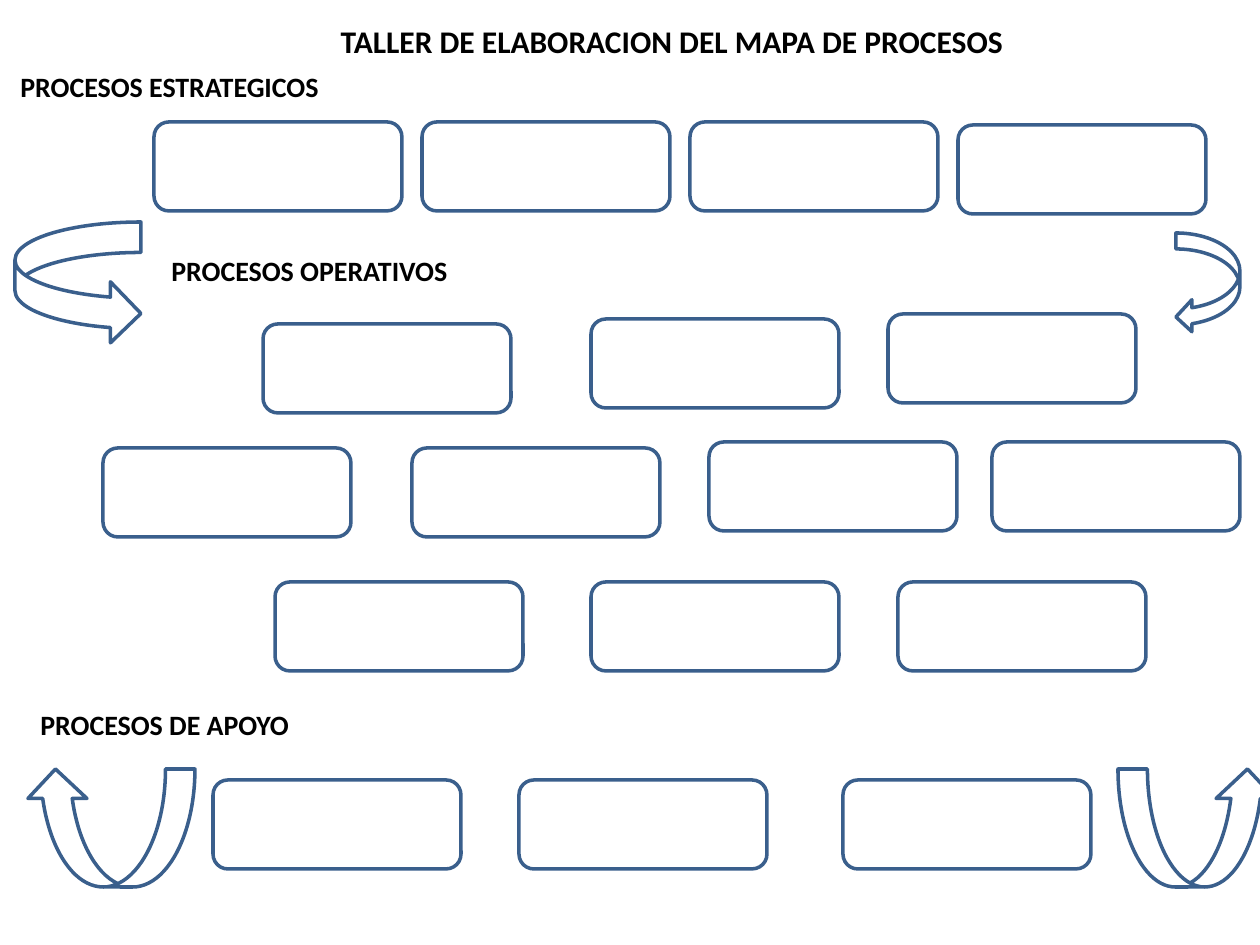
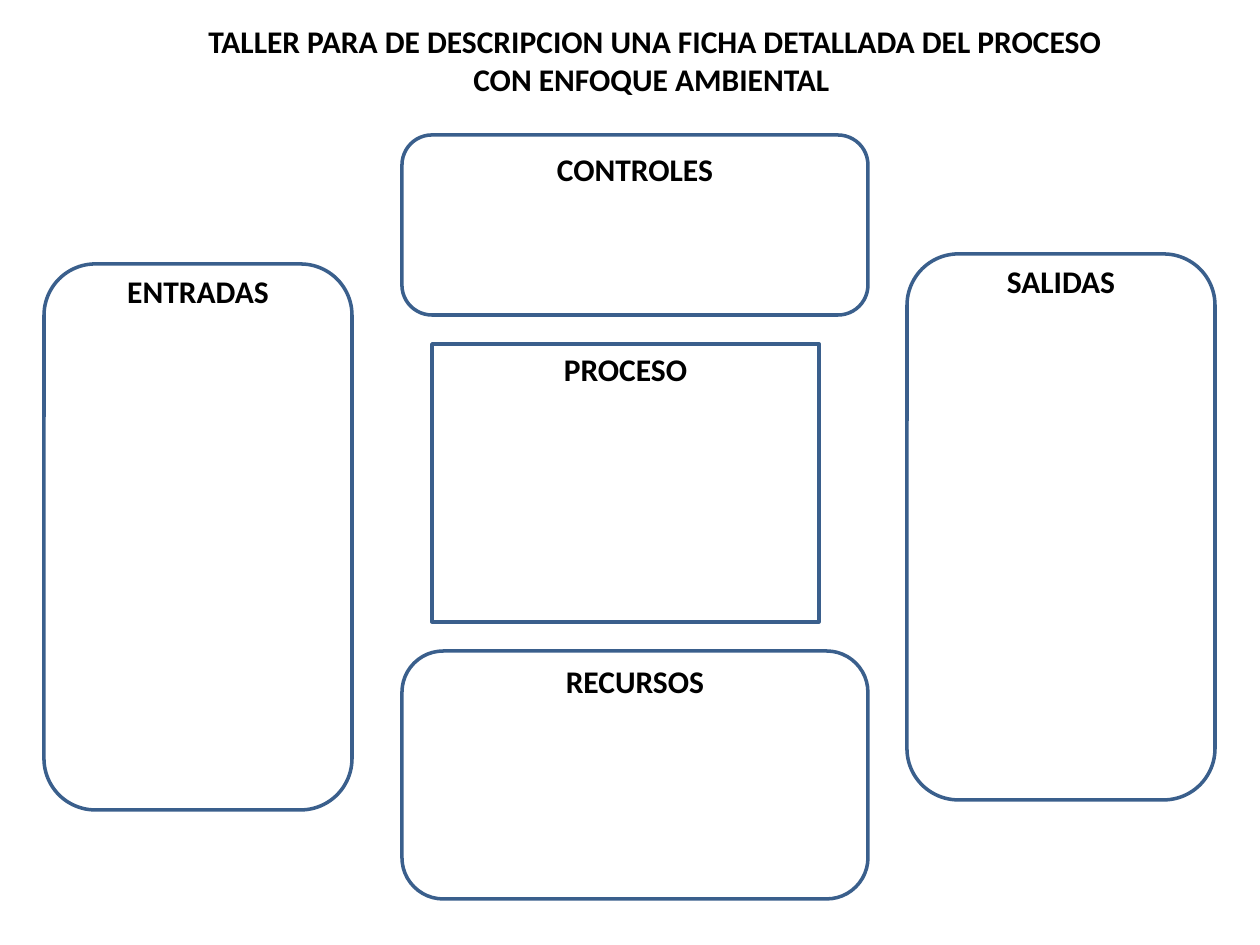
from pptx import Presentation
from pptx.dml.color import RGBColor
from pptx.enum.shapes import MSO_SHAPE
from pptx.enum.text import MSO_ANCHOR, MSO_AUTO_SIZE, PP_ALIGN
from pptx.util import Pt

ROUND, RECT = MSO_SHAPE.ROUNDED_RECTANGLE, MSO_SHAPE.RECTANGLE
RIGHT, LEFT = MSO_SHAPE.CURVED_RIGHT_ARROW, MSO_SHAPE.CURVED_LEFT_ARROW
UP = MSO_SHAPE.CURVED_UP_ARROW
TOP, FIXED = MSO_ANCHOR.TOP, MSO_AUTO_SIZE.NONE
MIDDLE, START = PP_ALIGN.CENTER, PP_ALIGN.LEFT

PX = 914400 // 126  # one pixel in EMU
BLUE, BLACK, FONT = "3A5F8C", "000000", "Calibri"


def write(shape, text, size=18, align=MIDDLE):
    """Bold black text at the top of a shape, one paragraph per line."""
    frame = shape.text_frame
    frame.text = text
    frame.word_wrap = True
    frame.auto_size = FIXED
    frame.vertical_anchor = TOP
    for par in frame.paragraphs:
        par.alignment = align
        par.font.name, par.font.size, par.font.bold = FONT, Pt(size), True
        par.font.color.rgb = RGBColor.from_string(BLACK)


def draw(slide, kind, *rect):
    """Unfilled shape with the shared blue outline."""
    shape = slide.shapes.add_shape(kind, *[n * PX for n in rect])
    shape.shadow.inherit = False
    shape.fill.background()
    shape.line.color.rgb = RGBColor.from_string(BLUE)
    shape.line.width = Pt(2)
    return shape


deck = Presentation()
deck.slide_width, deck.slide_height = 1260 * PX, 945 * PX

# Both slides with their titles
titles = [
    ("TALLER DE ELABORACION DEL MAPA DE PROCESOS", (297, 16, 750, 50)),
    ("TALLER PARA DE DESCRIPCION UNA FICHA DETALLADA DEL PROCESO\n"
     "CON ENFOQUE AMBIENTAL ", (134, 16, 1042, 89)),
]
slides = []
for text, rect in titles:
    slide = deck.slides.add_slide(deck.slide_layouts[5])
    title = slide.shapes.title
    title.left, title.top, title.width, title.height = [n * PX for n in rect]
    write(title, text)
    slides.append(slide)
chart, sheet = slides

# Process map: empty boxes, row by row
rows = [
    [(154 + 268 * i, 125 if i == 3 else 122) for i in range(4)],
    [(263, 324), (591, 319), (888, 314)],
    [(103, 448), (412, 448), (709, 442), (992, 442)],
    [(x, 582) for x in (275, 591, 898)],
    [(x, 780) for x in (213, 519, 843)],
]
for row in rows:
    for x, y in row:
        draw(chart, ROUND, x, y, 248, 89)

# Process map: group headings
heads = [
    ("PROCESOS ESTRATEGICOS", 8, 63),
    ("PROCESOS OPERATIVOS", 159, 247),
    ("PROCESOS DE APOYO", 28, 701),
]
for text, x, y in heads:
    box = chart.shapes.add_textbox(x * PX, y * PX, 372 * PX, 47 * PX)
    write(box, text, 16, START)

# Process map: curved arrows between the groups
draw(chart, RIGHT, 15, 222, 126, 122)
draw(chart, LEFT, 1176, 233, 64, 100)
draw(chart, UP, 1118, 769, 159, 118)
back = draw(chart, UP, 26, 769, 169, 118)
back._element.spPr.xfrm.set("flipH", "1")

# Process sheet: labelled boxes, each with its top margin
parts = [
    ("PROCESO", RECT, (432, 344, 387, 278), 6),
    ("ENTRADAS", ROUND, (44, 264, 308, 546), -7),
    ("SALIDAS", ROUND, (907, 254, 308, 546), -7),
    ("RECURSOS", ROUND, (402, 651, 466, 248), -1),
    ("CONTROLES", ROUND, (402, 135, 466, 180), 6),
]
for text, kind, rect, gap in parts:
    part = draw(sheet, kind, *rect)
    write(part, text)
    part.text_frame.margin_top = gap * PX

deck.save("out.pptx")
